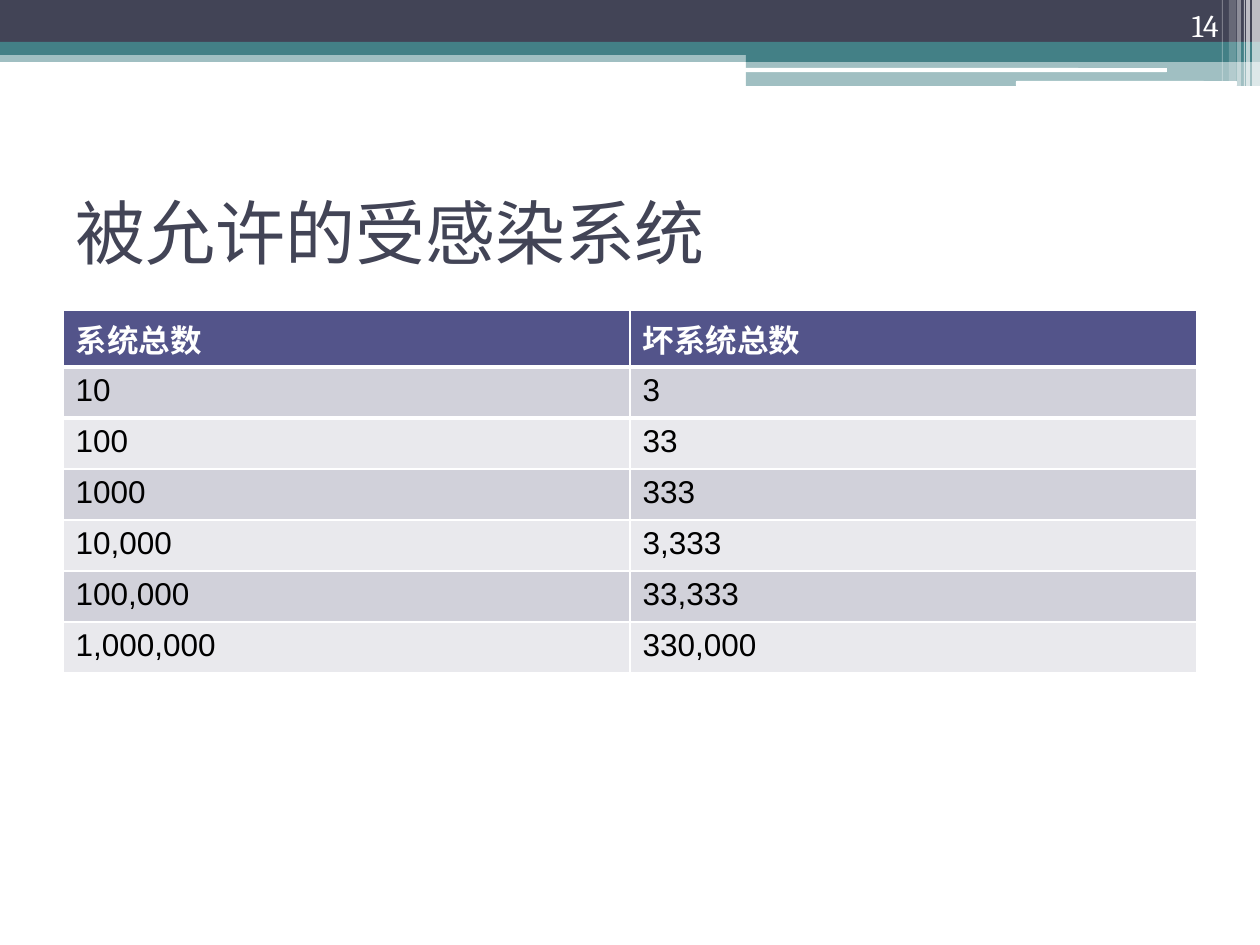
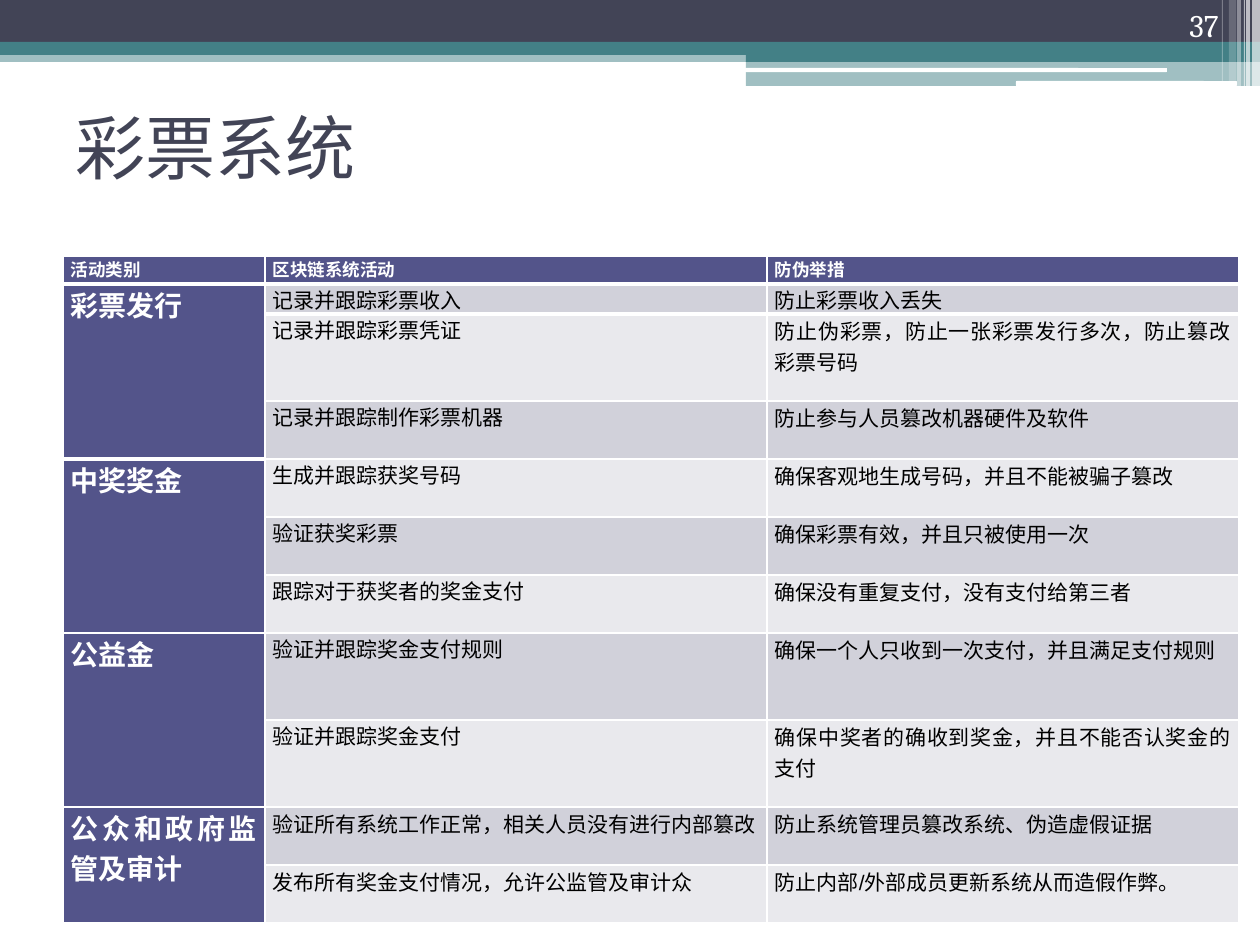
"""Build two slides on infected systems and lottery safeguards, under one banded header."""
from lxml import etree
from pptx import Presentation, util as u
from pptx.dml.color import RGBColor
from pptx.enum import shapes, text
from pptx.oxml.ns import qn

PX = u.Inches(1) / 126
DARK = RGBColor(0x42, 0x44, 0x56)
TEAL = RGBColor(0x43, 0x80, 0x86)
HEAD = RGBColor(0x53, 0x54, 0x8A)
WHITE = RGBColor(0xFF, 0xFF, 0xFF)
BLACK = RGBColor(0, 0, 0)
SHADES = RGBColor(0xE9, 0xE9, 0xED), RGBColor(0xD1, 0xD1, 0xDA)
RECT = shapes.MSO_SHAPE.RECTANGLE
ROUND = shapes.MSO_SHAPE.ROUNDED_RECTANGLE
ALIGN = text.PP_ALIGN
ANCHOR = text.MSO_ANCHOR


def px(*sizes):
    return [round(size * PX) for size in sizes]


def put(frame, words, size, color, font="Arial", bold=False, align=ALIGN.LEFT, lead=None, gap=None):
    frame.word_wrap = True
    para = frame.paragraphs[0]
    para.alignment = align
    if lead:
        para.line_spacing = u.Pt(lead)
    if gap:
        para.space_before = para.space_after = u.Pt(gap)
    run = para.add_run()
    run.text = words
    run.font.name, run.font.size, run.font.bold = font, u.Pt(size), bold
    run.font.color.rgb = color


deck = Presentation()
deck.slide_width, deck.slide_height = px(1260, 945)
layout = deck.slide_layouts[5]
pages = []
for name, number, top in [("被允许的受感染系统", "14", 158), ("彩票系统", "37", 73)]:
    page = deck.slides.add_slide(layout)
    title = page.shapes.title
    title.left, title.top, title.width, title.height = px(63, top, 1134, 147)
    title.text_frame.auto_size = text.MSO_AUTO_SIZE.NONE
    title.text_frame.vertical_anchor = ANCHOR.MIDDLE
    put(title.text_frame, name, 40, DARK, font="Cabin")
    box = page.shapes.add_textbox(*px(1126, 0, 105, 50))
    box.text_frame.vertical_anchor = ANCHOR.BOTTOM
    put(box.text_frame, number, 18, WHITE, font="Cambria", align=ALIGN.RIGHT)
    pages.append(page)

bands = [
    (RECT, 0, 50, 1260, 12, TEAL, 50),
    (RECT, 0, 0, 1260, 42, DARK, 100),
    (RECT, 0, 42, 1260, 13, TEAL, 100),
    (RECT, 746, 49, 514, 13, TEAL, 100),
    (RECT, 746, 61, 514, 25, TEAL, 50),
    (ROUND, 745, 68, 422, 4, WHITE, 100),
    (ROUND, 1016, 81, 221, 5, WHITE, 100),
]
stripes = [(1252, 8, 86, 65), (1246, 4, 86, 65), (1244, 1, 86, 60),
           (1237, 4, 86, 40), (1229, 7, 81, 20), (1222, 1, 81, 30)]
bands += [(RECT, left, 0, wide, high, WHITE, alpha) for left, wide, high, alpha in stripes]
for index, (kind, left, top, wide, high, color, alpha) in enumerate(bands):
    band = pages[0].shapes.add_shape(kind, *px(left, top, wide, high))
    band.name = f"Band {index + 1}"
    band.shadow.inherit = False
    band.line.fill.background()
    band.fill.solid()
    band.fill.fore_color.rgb = color
    if alpha < 100:
        tint = band.element.spPr.find(f"{qn('a:solidFill')}/{qn('a:srgbClr')}")
        etree.SubElement(tint, qn("a:alpha"), val=str(alpha * 1000))
    band.element.nvSpPr.cNvPr.set("id", str(20 + index))
    layout.shapes.element.insert(2 + index, band.element)

counts = [("系统总数", "坏系统总数"), ("10", "3"), ("100", "33"), ("1000", "333"),
          ("10,000", "3,333"), ("100,000", "33,333"), ("1,000,000", "330,000")]
tally = pages[0].shapes.add_table(len(counts), 2, *px(63, 310, 1134, 363)).table
for row, pair in enumerate(counts):
    tally.rows[row].height = px(51 if row else 57)[0]
    for col, words in enumerate(pair):
        cell = tally.cell(row, col)
        cell.fill.solid()
        cell.fill.fore_color.rgb = SHADES[row % 2] if row else HEAD
        put(cell.text_frame, words, 18, BLACK if row else WHITE, bold=row == 0)

groups = [
    ("彩票发行", [
        ("记录并跟踪彩票收入", "防止彩票收入丢失", 30),
        ("记录并跟踪彩票凭证", "防止伪彩票，防止一张彩票发行多次，防止篡改彩票号码", 87),
        ("记录并跟踪制作彩票机器", "防止参与人员篡改机器硬件及软件", 58)]),
    ("中奖奖金", [
        ("生成并跟踪获奖号码", "确保客观地生成号码，并且不能被骗子篡改", 58),
        ("验证获奖彩票", "确保彩票有效，并且只被使用一次", 58),
        ("跟踪对于获奖者的奖金支付", "确保没有重复支付，没有支付给第三者", 58)]),
    ("公益金", [
        ("验证并跟踪奖金支付规则", "确保一个人只收到一次支付，并且满足支付规则", 87),
        ("验证并跟踪奖金支付", "确保中奖者的确收到奖金，并且不能否认奖金的支付", 87)]),
    ("公众和政府监管及审计", [
        ("验证所有系统工作正常，相关人员没有进行内部篡改", "防止系统管理员篡改系统、伪造虚假证据", 58),
        ("发布所有奖金支付情况，允许公监管及审计众", "防止内部/外部成员更新系统从而造假作弊。", 58)]),
]
lines = [("活动类别", "区块链系统活动", "防伪举措", 28)]
spans = []
for name, acts in groups:
    spans.append((len(lines), len(lines) + len(acts) - 1))
    lines += [(name if not order else "", *act) for order, act in enumerate(acts)]

guards = pages[1].shapes.add_table(len(lines), 3, *px(63, 256, 1176, 667)).table
for col, wide in enumerate([202, 502, 472]):
    guards.columns[col].width = px(wide)[0]
for row, (*words, high) in enumerate(lines):
    guards.rows[row].height = px(high)[0]
    for col, word in enumerate(words):
        cell = guards.cell(row, col)
        cell.margin_left = cell.margin_right = px(8)[0]
        cell.margin_top = cell.margin_bottom = 0
        label = row == 0 or col == 0
        cell.fill.solid()
        cell.fill.fore_color.rgb = HEAD if label else SHADES[row % 2]
        spaced = col == 2 and row > 1 or col == 1 and row > 8
        size = 10 if row == 0 else 16 if col == 0 else 12
        if word:
            put(cell.text_frame, word, size, WHITE if label else BLACK, bold=label,
                align=ALIGN.JUSTIFY, lead=18 if spaced else None, gap=None if row else 6)
for first, last in spans:
    guards.cell(first, 0).merge(guards.cell(last, 0))

for grid in (tally, guards):
    for col in range(len(grid.columns)):
        for row, side in enumerate(["a:lnB", "a:lnT"]):
            edge = etree.Element(qn(side), w=str(u.Pt(3)))
            fill = etree.SubElement(edge, qn("a:solidFill"))
            etree.SubElement(fill, qn("a:srgbClr"), val=str(WHITE))
            grid.cell(row, col).fill.solid()
            grid.cell(row, col).fill.fore_color.rgb = HEAD if row == 0 or grid is guards and col == 0 else SHADES[1]
            grid.cell(row, col)._tc.tcPr.insert(0, edge)

deck.save("out.pptx")
